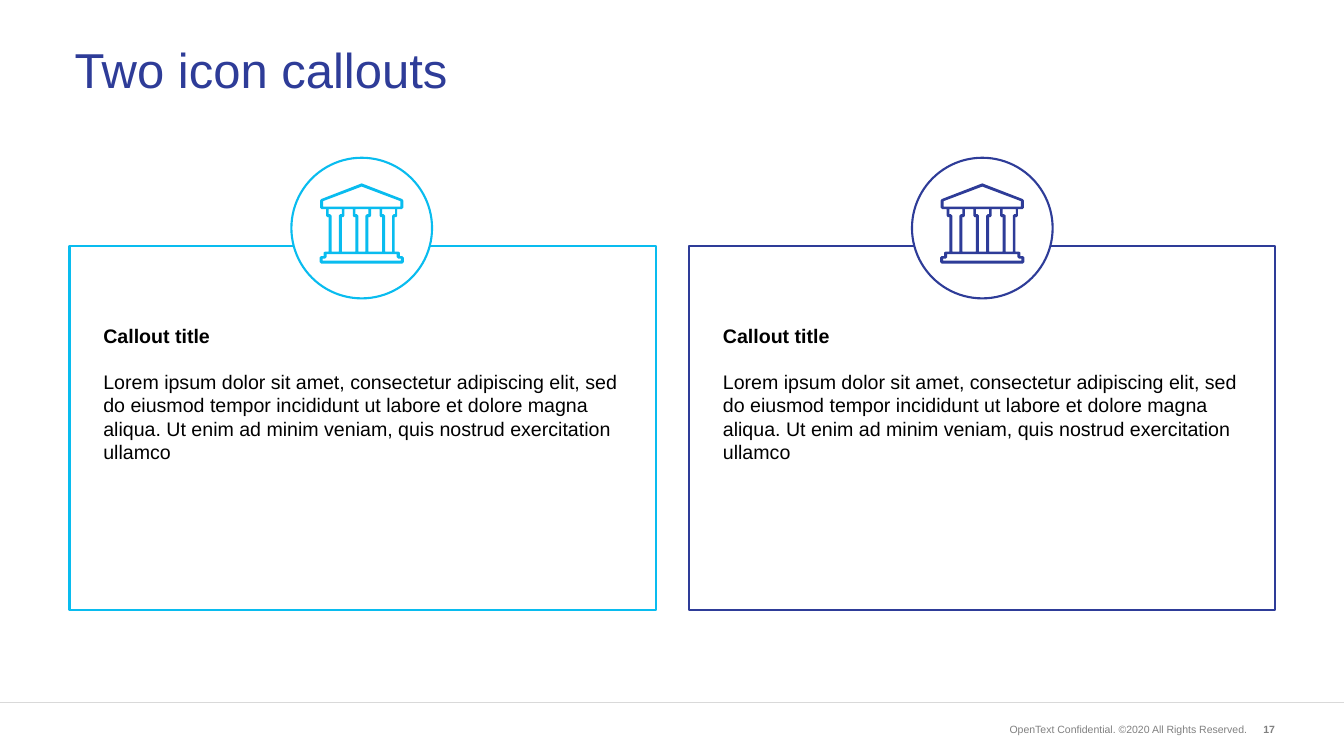
from dataclasses import dataclass

from lxml import etree
from pptx import Presentation
from pptx.dml.color import RGBColor
from pptx.enum.shapes import MSO_CONNECTOR, MSO_SHAPE
from pptx.enum.text import MSO_ANCHOR, PP_ALIGN
from pptx.oxml.ns import qn
from pptx.util import Pt

RECT, OVAL = MSO_SHAPE.RECTANGLE, MSO_SHAPE.OVAL
LINE = MSO_CONNECTOR.STRAIGHT
TOP, MID = MSO_ANCHOR.TOP, MSO_ANCHOR.MIDDLE
LEFT, RIGHT = PP_ALIGN.LEFT, PP_ALIGN.RIGHT

NAVY = RGBColor(0x2E, 0x3C, 0x98)
CYAN = RGBColor(0x09, 0xBC, 0xEF)
WHITE = RGBColor(0xFF, 0xFF, 0xFF)
BLACK = RGBColor(0x00, 0x00, 0x00)
GREY = RGBColor(0x80, 0x80, 0x80)
PALE = RGBColor(0xD9, 0xD9, 0xD9)

SCALE = 9144
WIDE, HIGH = 2666, 1500
BODY = ("Lorem ipsum dolor sit amet, consectetur adipiscing elit, sed do eiusmod "
        "tempor incididunt ut labore et dolore magna aliqua. Ut enim ad minim "
        "veniam, quis nostrud exercitation ullamco")

Points = list[tuple[int, int]]
Box = tuple[int, int, int, int]


@dataclass
class Label:
    text: str
    box: Box
    anchor: MSO_ANCHOR
    align: PP_ALIGN
    color: RGBColor
    size: int
    bold: bool = False
    space: float = 1.0


@dataclass
class Callout:
    left: int
    badge: int
    color: RGBColor
    fill: RGBColor | None
    title: str = "Callout title"
    body: str = BODY


LABELS = [
    Label("OpenText Confidential. ©2020 All Rights Reserved.",
          (1947, 1430, 537, 35), MID, RIGHT, GREY, 15),
    Label("17", (2468, 1430, 71, 35), TOP, RIGHT, GREY, 15, bold=True),
    Label("Two icon callouts", (138, 38, 2391, 212), MID, LEFT, NAVY, 70, space=0.9),
]
CALLOUTS = [
    Callout(1367, 1809, NAVY, WHITE),
    Callout(138, 578, CYAN, None),
]


def px(*values: int) -> list[int]:
    return [value * SCALE for value in values]


def mirror(half: Points, total: int) -> Points:
    return half + [(total - x, y) for x, y in reversed(half)]


def shift(points: Points, step: int) -> Points:
    return [(x + step, y) for x, y in points]


def bank() -> list[Points]:
    width, pitch = 167, 53
    outline = mirror([(83, 0), (3, 31), (1, 34), (1, 48), (4, 51), (13, 51),
                      (13, 64), (15, 67), (18, 67), (18, 135), (11, 135),
                      (8, 137), (8, 144), (3, 144), (0, 147), (0, 156),
                      (3, 159)], width)
    roof = mirror([(84, 6), (7, 35), (7, 46)], width)
    base = mirror([(14, 140), (14, 146), (11, 149), (6, 149), (6, 153)], width)
    column = mirror([(18, 51), (18, 61), (21, 61), (24, 64), (24, 135)], 62)
    gap = mirror([(49, 51), (49, 64), (47, 67), (44, 67), (44, 135)], 115)
    columns = [shift(column, n * pitch) for n in range(3)]
    gaps = [shift(gap, n * pitch) for n in range(2)]
    return [outline, roof, base, *columns, *gaps]


def style(font, color: RGBColor, **format) -> None:
    for name, value in {"name": "Arial", **format}.items():
        setattr(font, name, value)
    font.color.rgb = color


def add_label(slide, label: Label) -> None:
    frame = slide.shapes.add_textbox(*px(*label.box)).text_frame
    frame.word_wrap = True
    frame.vertical_anchor = label.anchor
    line = frame.paragraphs[0]
    line.text = label.text
    line.alignment = label.align
    line.line_spacing = label.space
    style(line.font, label.color, size=Pt(label.size), bold=label.bold)


def add_panel(shapes, kind: MSO_SHAPE, box: Box, color: RGBColor,
              fill: RGBColor | None):
    panel = shapes.add_shape(kind, *px(*box))
    panel.shadow.inherit = False
    if fill is None:
        panel.fill.background()
    else:
        panel.fill.solid()
        panel.fill.fore_color.rgb = fill
    panel.line.color.rgb = color
    panel.line.width = Pt(3)
    return panel


def add_icon(shapes, left: int, top: int, color: RGBColor) -> None:
    first, *holes = bank()
    path = shapes.build_freeform(*first[0], scale=SCALE)
    path.add_line_segments(first[1:], close=True)
    for hole in holes:
        path.move_to(*hole[0])
        path.add_line_segments(hole[1:], close=True)
    icon = path.convert_to_shape(*px(left, top))
    icon.shadow.inherit = False
    icon.fill.solid()
    icon.fill.fore_color.rgb = color
    icon.line.fill.background()


def add_callout(slide, call: Callout) -> None:
    card = add_panel(slide.shapes, RECT, (call.left, 488, 1163, 722),
                     call.color, call.fill)
    frame = card.text_frame
    inset = {"margin_left": 67, "margin_top": 154, "margin_right": 67, "margin_bottom": 5}
    for name, value in inset.items():
        setattr(frame, name, value * SCALE)
    frame.word_wrap = True
    frame.vertical_anchor = TOP
    head, body = frame.paragraphs[0], frame.add_paragraph()
    body.space_before = Pt(32)
    for line, text, bold in ((head, call.title, True), (body, call.body, False)):
        line.text = text
        line.alignment = LEFT
        style(line.font, BLACK, size=Pt(28), bold=bold)
    badge = slide.shapes.add_group_shape().shapes
    add_panel(badge, OVAL, (call.badge, 313, 279, 279), call.color, WHITE)
    add_icon(badge, call.badge + 56, 364, call.color)


def add_rule(slide, top: int) -> None:
    rule = slide.shapes.add_connector(LINE, *px(0, top, WIDE, top))
    rule.line.color.rgb = PALE
    rule.line.width = Pt(1)
    etree.SubElement(rule.line._get_or_add_ln().getparent(), qn("a:effectLst"))


def main() -> None:
    deck = Presentation()
    deck.slide_width, deck.slide_height = px(WIDE, HIGH)
    slide = deck.slides.add_slide(deck.slide_layouts[6])
    add_rule(slide, 1394)
    for label in LABELS:
        add_label(slide, label)
    for call in CALLOUTS:
        add_callout(slide, call)
    deck.save("out.pptx")


if __name__ == "__main__":
    main()
